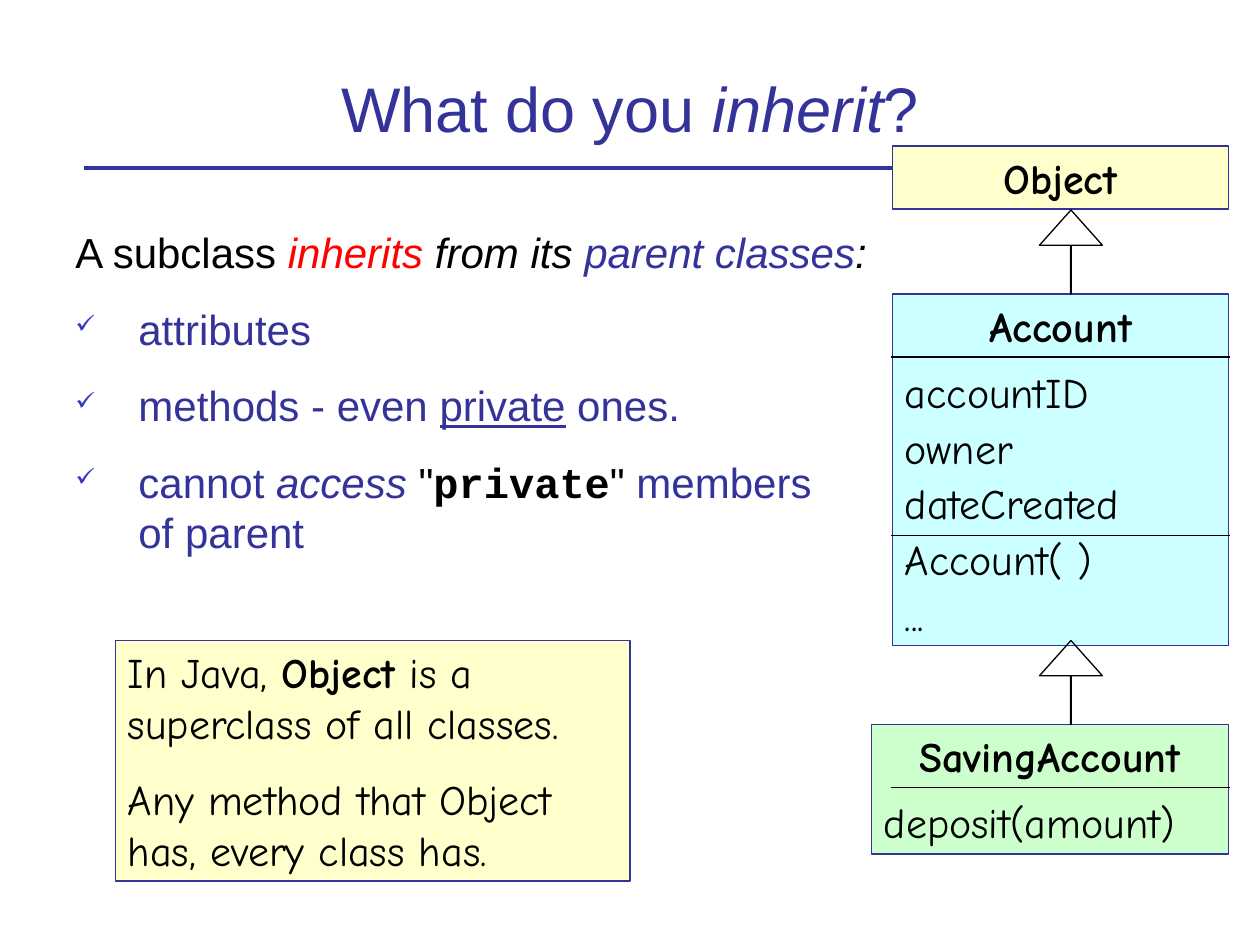
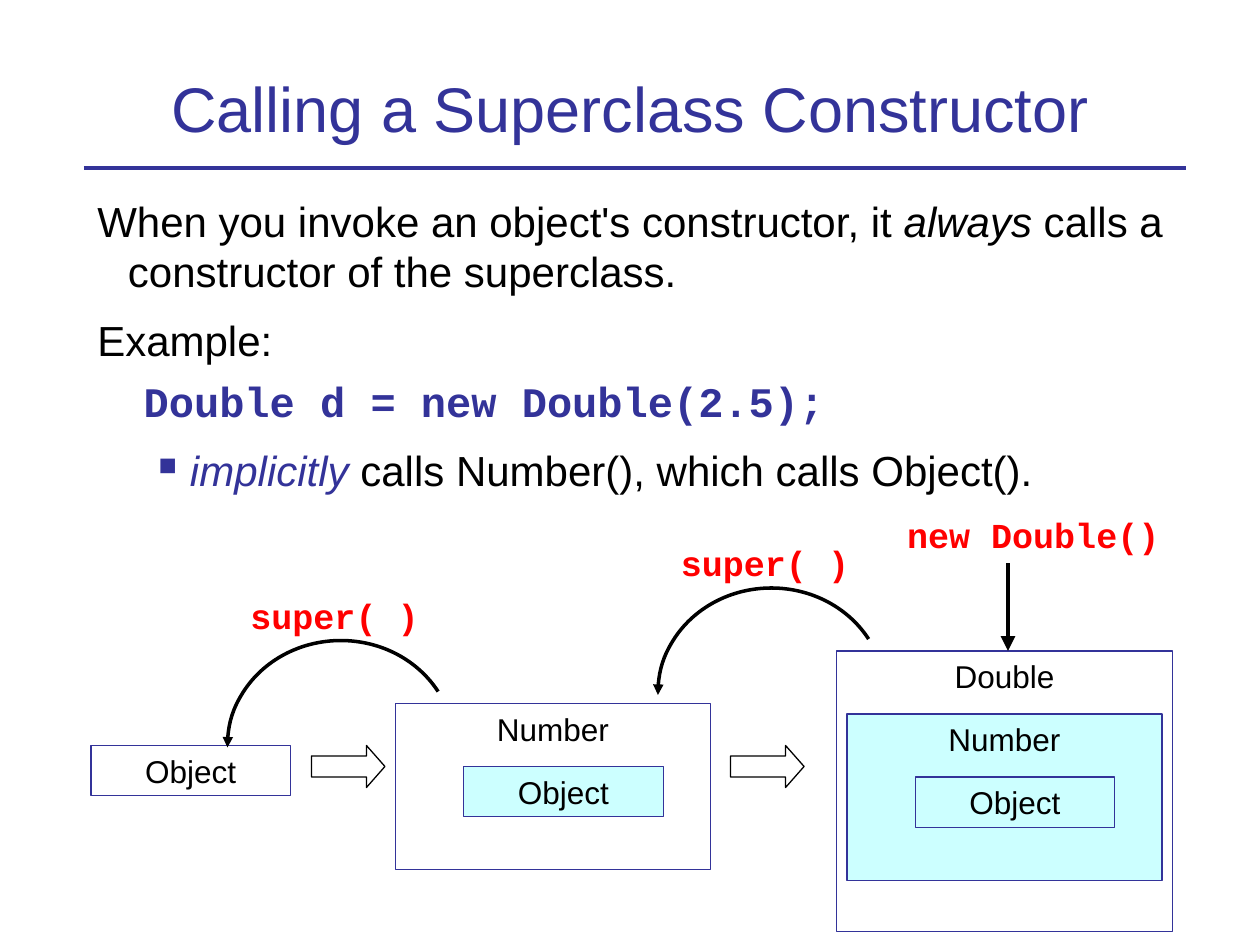
import lxml.etree
import pptx
import pptx.dml.color
import pptx.enum.shapes
import pptx.enum.text
import pptx.oxml.ns
import pptx.util

Pt = pptx.util.Pt
RGBColor = pptx.dml.color.RGBColor
SHAPE = pptx.enum.shapes.MSO_SHAPE
ALIGN = pptx.enum.text.PP_ALIGN
ANCHOR = pptx.enum.text.MSO_ANCHOR
qn = pptx.oxml.ns.qn

NAVY = RGBColor(0x33, 0x33, 0x99)
BLUE = RGBColor(0x33, 0x33, 0xCC)
RED = RGBColor(0xFF, 0x00, 0x00)
BLACK = RGBColor(0x00, 0x00, 0x00)
YELLOW = RGBColor(0xFF, 0xFF, 0xCC)
CYAN = RGBColor(0xCC, 0xFF, 0xFF)
GREEN = RGBColor(0xCC, 0xFF, 0xCC)
SANS, COMIC, MONO = "Arial", "Comic Neue", "Courier New"


def sub(parent, tag, **attrs):
    return lxml.etree.SubElement(parent, qn(tag), attrs)


def set_font(font, name=None, size=None, color=None, bold=None, italic=None, underline=None):
    if name:
        font.name = name
    if size:
        font.size = Pt(size)
    if color is not None:
        font.color.rgb = color
    if bold is not None:
        font.bold = bold
    if italic is not None:
        font.italic = italic
    if underline is not None:
        font.underline = underline


class Deck:
    """Holds the presentation, its common style and the current slide."""

    def __init__(self):
        self.prs = pptx.Presentation()
        self.prs.slide_width, self.prs.slide_height = Pt(720), Pt(540)
        self.shapes = None

    def slide(self, *title_runs):
        self.shapes = self.prs.slides.add_slide(self.prs.slide_layouts[6]).shapes
        self.line(48, 96, 678, 96, NAVY, 2.25)
        tf = self.text_box(48, 18, 624, 68.4)
        tf.vertical_anchor = ANCHOR.BOTTOM
        self.para(tf, *title_runs, align=ALIGN.CENTER, size=36, color=NAVY)

    def text_box(self, x, y, w, h):
        tf = self.shapes.add_textbox(Pt(x), Pt(y), Pt(w), Pt(h)).text_frame
        tf.word_wrap = True
        return tf

    def para(self, tf, *runs, align=ALIGN.LEFT, before=0, left=0, indent=0, level=0,
             bullet=None, name=SANS, size=24, color=BLACK, **style):
        """Add a paragraph; a run is a text or a pair of text and font changes."""
        p = tf.paragraphs[0]
        if p.runs:
            p = tf.add_paragraph()
            p.space_before = Pt(before)
        p.alignment, p.level = align, level
        pPr = p._p.get_or_add_pPr()
        pPr.set("marL", str(Pt(left)))
        pPr.set("indent", str(Pt(indent)))
        if bullet:
            char, bullet_color = bullet
            sub(sub(pPr, "a:buClr"), "a:srgbClr", val=str(bullet_color))
            sub(pPr, "a:buSzPct", val="60000")
            sub(pPr, "a:buChar", char=char)
        set_font(p.font, name, size, color, **style)
        for run in runs:
            text, changes = (run, {}) if isinstance(run, str) else run
            for i, part in enumerate(text.split("\n")):
                if i:
                    p.add_line_break()
                r = p.add_run()
                r.text = part
                set_font(r.font, **changes)

    def shape(self, kind, x, y, w, h, fill=None, line=BLACK, width=0.75, adjust=()):
        sp = self.shapes.add_shape(kind, Pt(x), Pt(y), Pt(w), Pt(h))
        sp.shadow.inherit = False
        if fill is None:
            sp.fill.background()
        else:
            sp.fill.solid()
            sp.fill.fore_color.rgb = fill
        sp.line.color.rgb = line
        sp.line.width = Pt(width)
        for i, value in enumerate(adjust):
            sp.adjustments[i] = value
        return sp

    def box(self, x, y, w, h, fill=None):
        tf = self.shape(SHAPE.RECTANGLE, x, y, w, h, fill, NAVY).text_frame
        tf.word_wrap = True
        tf.vertical_anchor = ANCHOR.TOP
        return tf

    def line(self, x1, y1, x2, y2, color=BLACK, width=0.75, arrow=False):
        cn = self.shapes.add_connector(
            pptx.enum.shapes.MSO_CONNECTOR.STRAIGHT, Pt(x1), Pt(y1), Pt(x2), Pt(y2))
        cn.line.color.rgb = color
        cn.line.width = Pt(width)
        if arrow:
            sub(cn.line._get_or_add_ln(), "a:tailEnd", type="triangle")
        sub(cn._element.spPr, "a:effectLst")

    def uml_class(self, x, y, w, h, fill, name, members=(), dividers=()):
        tf = self.box(x, y, w, h, fill)
        self.para(tf, name, align=ALIGN.CENTER, name=COMIC, bold=True)
        for i, member in enumerate(members):
            self.para(tf, member, before=3 if i else 9, name=COMIC)
        for offset in dividers:
            self.line(509, y + offset, 703, y + offset)

    def inherits_arrow(self, x, y):
        self.shape(SHAPE.UP_ARROW, x, y, 36, 48, adjust=(0.01, 0.56))

    def object_box(self, x, y, w, h, name, fill=None):
        self.para(self.box(x, y, w, h, fill), name, align=ALIGN.CENTER, size=18)

    def object_part(self, x, y, fill=None):
        self.object_box(x, y, 114, 28.8, "Object", fill)

    def number_part(self, x, y, fill=None):
        self.object_box(x, y, 180, 95, "Number", fill)
        self.object_part(x + 39, y + 36, CYAN)

    def call_label(self, x, y, w, text, align=ALIGN.LEFT):
        self.para(self.text_box(x, y, w, 31.5), text, align=align,
                  name=MONO, size=20, color=RED, bold=True)

    def super_call(self, x, y):
        """Curved arrow running from upper right down to the left, with its label."""
        degree = 0.6  # one degree in adjustment units
        arc = self.shape(SHAPE.ARC, x, y, 129.6, 120, width=2,
                         adjust=(179 * degree, 331 * degree))
        sub(arc.line._get_or_add_ln(), "a:headEnd", type="triangle")
        self.call_label(x + 6, y - 30, 120, "super( )")


def inheritance_slide(deck):
    italic = {"italic": True}
    deck.slide("What do you ", ("inherit", italic), "?")

    tf = deck.text_box(36, 126, 469, 205)
    deck.para(tf, "A subclass ", ("inherits", {"color": RED, "italic": True}),
              (" from its ", italic), ("parent classes", {"color": NAVY, "italic": True}),
              (":", italic), left=36, indent=-36)
    black = {"color": BLACK}
    for runs in (
        ["attributes"],
        ["methods - even ", ("private", {"underline": True}), " ones."],
        ["cannot ", ("access ", italic), ('"', black),
         ("private", {"name": MONO, "color": BLACK, "bold": True}), ('"', black),
         " members \nof parent"],
    ):
        deck.para(tf, *runs, before=15, left=36, indent=-36, bullet=("✓", BLUE), color=NAVY)

    deck.uml_class(498, 414, 204, 74, GREEN, "SavingAccount", ["deposit(amount)"], [36])
    deck.uml_class(510, 83.5, 192, 36, YELLOW, "Object")
    deck.uml_class(510, 168, 192, 201, CYAN, "Account",
                   ["accountID", "owner", "dateCreated", "Account( )", "..."], [36, 138])
    for y in (120, 366):
        deck.inherits_arrow(594, y)

    tf = deck.box(66, 366, 294, 137.5, YELLOW)
    deck.para(tf, "In Java, ", ("Object", {"bold": True}),
              " is a superclass of all classes.", name=COMIC)
    deck.para(tf, "Any method that Object has, every class has.", before=15, name=COMIC)


def constructor_slide(deck):
    deck.slide("Calling a Superclass Constructor")

    tf = deck.text_box(48, 108, 624, 240)
    deck.para(tf, "When you invoke an object's constructor, it ", ("always", {"italic": True}),
              " calls a constructor of the superclass.", left=18, indent=-17.5)
    deck.para(tf, "Example:", before=10.5, left=18, indent=-17.5)
    deck.para(tf, "Double d = new Double(2.5);", before=6, left=27,
              name=MONO, color=NAVY, bold=True)
    deck.para(tf, ("implicitly", {"color": NAVY, "italic": True}),
              " calls Number(), which calls Object().", before=10.5, left=53.5,
              indent=-18, level=1, bullet=("■", NAVY))

    deck.object_part(52, 426)
    deck.number_part(226, 402)
    deck.object_box(478, 372, 192, 160.5, "Double")
    deck.number_part(484, 408, CYAN)
    for x in (178, 417.5):
        deck.shape(SHAPE.RIGHT_ARROW, x, 426, 42, 24, adjust=(0.5, 0.44))
    deck.super_call(376, 336)
    deck.super_call(130, 366)
    deck.call_label(497, 290, 187, "new Double()", ALIGN.CENTER)
    deck.line(576, 322, 576, 372, width=2.83, arrow=True)


def main():
    deck = Deck()
    inheritance_slide(deck)
    constructor_slide(deck)
    deck.prs.save("out.pptx")


if __name__ == "__main__":
    main()
